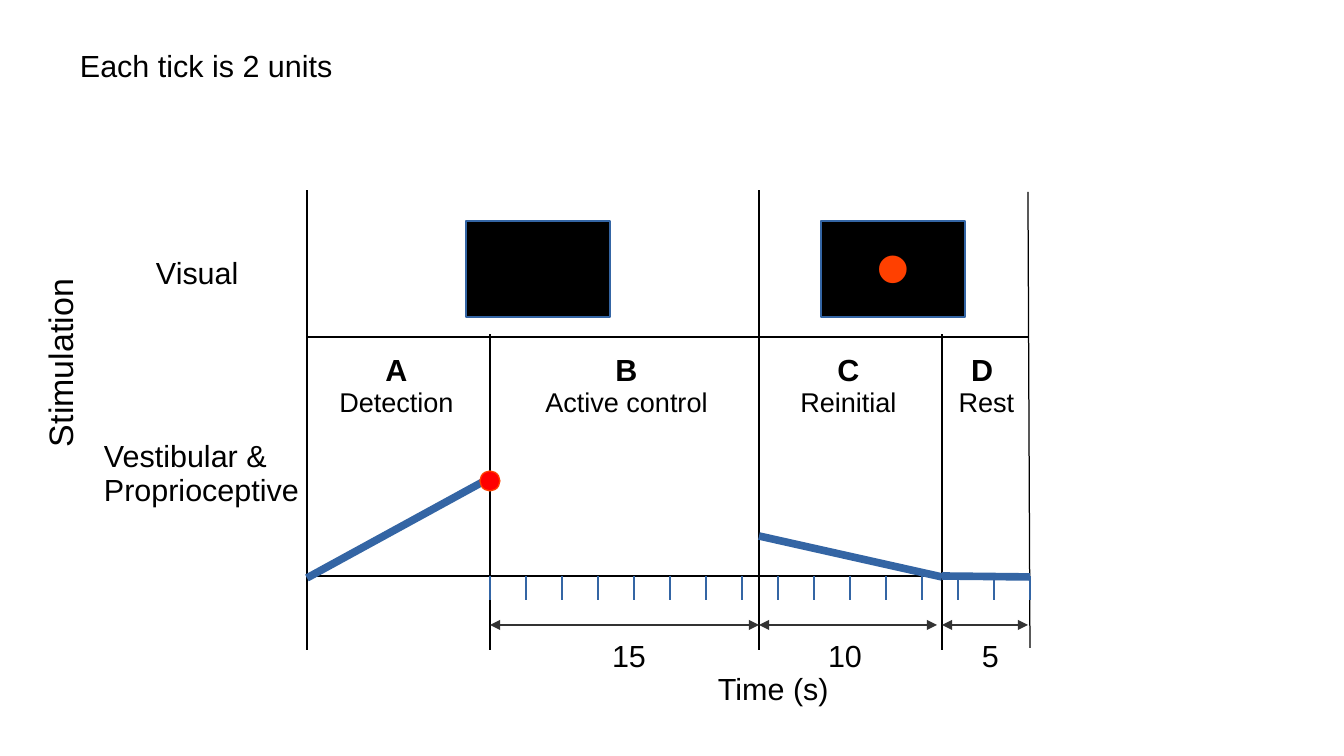
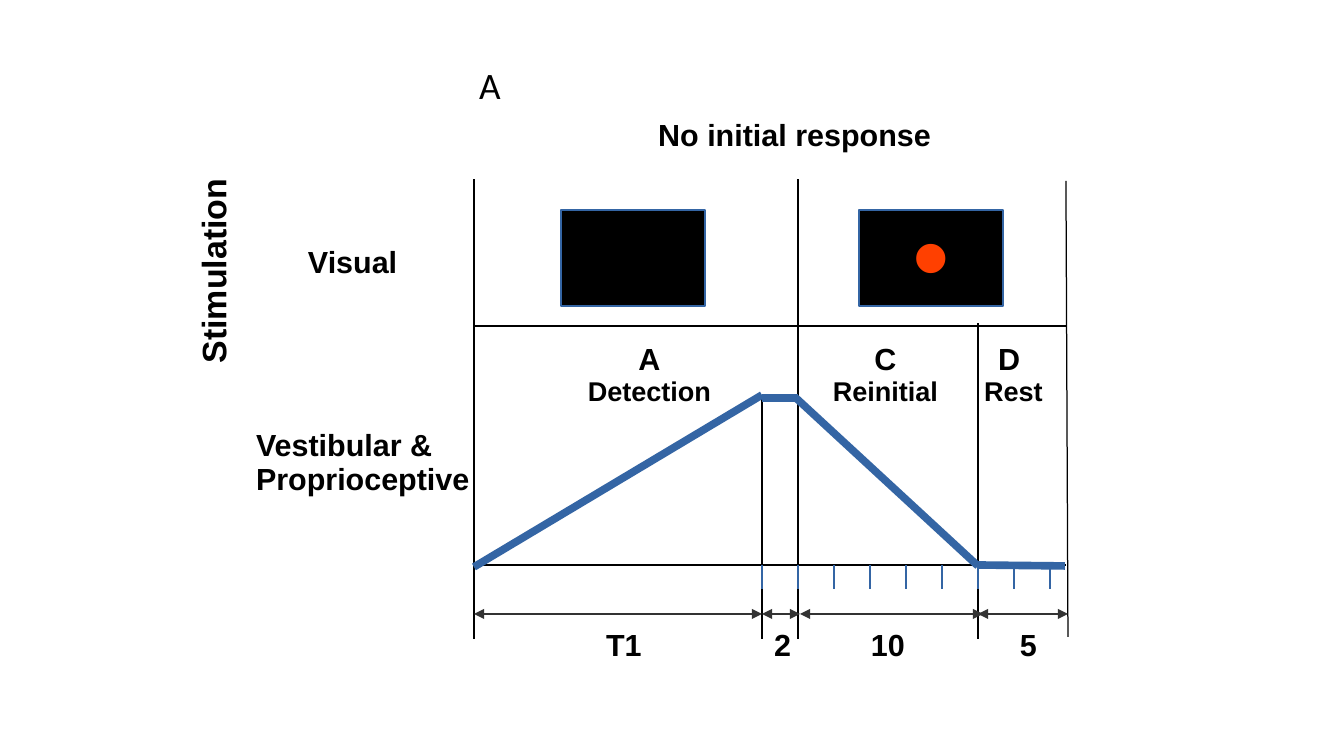
from dataclasses import dataclass

from lxml import etree
from pptx import Presentation
from pptx import util as u
from pptx.dml.color import RGBColor
from pptx.enum import shapes, text
from pptx.oxml import ns


@dataclass(frozen=True)
class Theme:
    ink: str = "000000"
    blue: str = "3465A4"
    grey: str = "333333"
    glow: str = "FF4000"
    red: str = "FF0000"
    face: str = "Arial"
    thin: float = 0.75
    thick: float = 4.5
    small: int = 16
    body: int = 18
    large: int = 20
    mark: int = 22
    dot: int = 60


theme = Theme()
PX = 914400 / 122
LEFT, MID = text.PP_ALIGN.LEFT, text.PP_ALIGN.CENTER
ROW, AXIS, TICK, SPAN, FOOT = 147, 386, 410, 435, 460
STEP = 36


def rule(slide, ends, tone=theme.ink, width=theme.thin, heads=False):
    line = slide.shapes.add_connector(
        shapes.MSO_CONNECTOR.STRAIGHT, *[round(n * PX) for n in ends])
    line.line.color.rgb = RGBColor.from_string(tone)
    line.line.width = u.Pt(width)
    props = line.line._get_or_add_ln()
    if heads:
        for end in ("a:headEnd", "a:tailEnd"):
            etree.SubElement(props, ns.qn(end), type="triangle")
    etree.SubElement(props.getparent(), ns.qn("a:effectLst"))


def write(shape, rows, align=LEFT, wrap=True, tone=theme.ink, face=theme.face, space=0.93):
    frame = shape.text_frame
    frame.word_wrap = wrap
    frame.auto_size = text.MSO_AUTO_SIZE.NONE
    for i, (words, size, bold) in enumerate(rows):
        para = frame.add_paragraph() if i else frame.paragraphs[0]
        para.text = words
        para.alignment = align
        para.line_spacing = space
        para.font.name = face
        para.font.size = u.Pt(size)
        para.font.bold = bold
        para.font.color.rgb = RGBColor.from_string(tone)


plots = [
    dict(
        top=190, left=307, right=1028, bold=False, layout=6,
        walls=[(307, 0), (490, 144), (759, 0), (942, 144)],
        curve=[(307, 388, 490, 288), (759, 346, 942, 387), (942, 386, 1030, 387)],
        ticks=(490, 16),
        spans=[(490, 759), (759, 937), (942, 1028)],
        screens=(466, 821),
        phases=[(327, 139, "A", "Detection"), (533, 187, "B", "Active control"),
                (788, 121, "C", "Reinitial"), (947, 79, "D ", "Rest")],
        times=[(600, "15"), (816, "10"), (970, "5")],
        names=92, side=(62, 363),
    ),
    dict(
        top=179, left=474, right=1066, bold=True, layout=5,
        walls=[(474, 0), (762, 216), (798, 0), (978, 144)],
        curve=[(474, 388, 762, 216), (762, 219, 798, 219),
               (796, 219, 978, 387), (978, 386, 1065, 387)],
        ticks=(762, 9),
        spans=[(474, 762), (762, 800), (800, 983), (978, 1068)],
        screens=(561, 859),
        phases=[(580, 139, "A", "Detection"), (825, 121, "C", "Reinitial"),
                (974, 79, "D ", "Rest")],
        times=[(594, "T1"), (762, "2"), (859, "10"), (1008, "5")],
        names=244, side=(215, 271),
    ),
]

deck = Presentation()
deck.slide_width, deck.slide_height = round(1344 * PX), round(756 * PX)
pages = []

for plot in plots:
    slide = deck.slides.add_slide(deck.slide_layouts[plot["layout"]])
    pages.append(slide)
    top, left, right, bold = (plot[key] for key in ("top", "left", "right", "bold"))

    for x, y in plot["walls"]:
        rule(slide, (x, top + FOOT, x, top + y))
    rule(slide, (right, top + 2, right + 2, top + FOOT - 2))
    for y in (ROW, AXIS):
        rule(slide, (left, top + y, right, top + y))
    start, count = plot["ticks"]
    for i in range(count):
        x = start + i * STEP
        rule(slide, (x, top + AXIS, x, top + TICK), theme.blue)
    for x1, y1, x2, y2 in plot["curve"]:
        rule(slide, (x1, top + y1, x2, top + y2), theme.blue, theme.thick)
    for x1, x2 in plot["spans"]:
        rule(slide, (x1, top + SPAN, x2, top + SPAN), theme.grey, heads=True)

    for x in plot["screens"]:
        screen = slide.shapes.add_shape(
            shapes.MSO_SHAPE.RECTANGLE,
            *[round(n * PX) for n in (x, top + 31, 144, 96)])
        screen.shadow.inherit = False
        screen.fill.solid()
        screen.fill.fore_color.rgb = RGBColor.from_string(theme.ink)
        screen.line.color.rgb = RGBColor.from_string(theme.blue)
        screen.line.width = u.Pt(theme.thin)
    write(screen, [("•", theme.dot, bold)], MID, False, theme.glow)

    names = plot["names"]
    labels = [
        (names + 52, top + 61, 120, 46, LEFT, [("Visual", theme.body, bold)]),
        (names, top + 244, 240, 80, LEFT,
         [(word, theme.body, bold) for word in ("Vestibular &", "Proprioceptive")]),
    ]
    for x, wide, key, name in plot["phases"]:
        labels.append((x, top + 158, wide, 76, MID,
                       [(key, theme.body, True), (name, theme.small, bold)]))
    for x, time in plot["times"]:
        labels.append((x, top + 444, 60, 46, LEFT, [(time, theme.body, bold)]))
    for x, y, w, h, align, rows in labels:
        box = slide.shapes.add_textbox(*[round(n * PX) for n in (x, y, w, h)])
        write(box, rows, align, align == LEFT)

    x, y = plot["side"]
    side = slide.shapes.add_textbox(*[round(n * PX) for n in (x - 120, y - 25, 240, 50)])
    side.rotation = 270
    write(side, [("Stimulation", theme.large, bold)], MID)

first, second = pages

ball = first.shapes.add_shape(
    shapes.MSO_SHAPE.OVAL, *[round(n * PX) for n in (480, 471, 20, 20)])
ball.shadow.inherit = False
ball.fill.solid()
ball.fill.fore_color.rgb = RGBColor.from_string(theme.red)
ball.line.color.rgb = RGBColor.from_string(theme.glow)
ball.line.width = u.Pt(theme.thin)

for x, y, w, words in [(706, 667, 154, "Time (s)"), (68, 44, 300, "Each tick is 2 units")]:
    box = first.shapes.add_textbox(*[round(n * PX) for n in (x, y, w, 46)])
    write(box, [(words, theme.body, False)])

title = second.shapes.title
title.left, title.top, title.width, title.height = [
    round(n * PX) for n in (646, 113, 320, 46)]
title.text_frame.vertical_anchor = text.MSO_ANCHOR.TOP
write(title, [("No initial response", theme.body, True)])

panel = second.shapes.add_textbox(*[round(n * PX) for n in (467, 56, 60, 57)])
write(panel, [("A", theme.mark, False)], face="Calibri", space=1.0)

deck.save("out.pptx")
